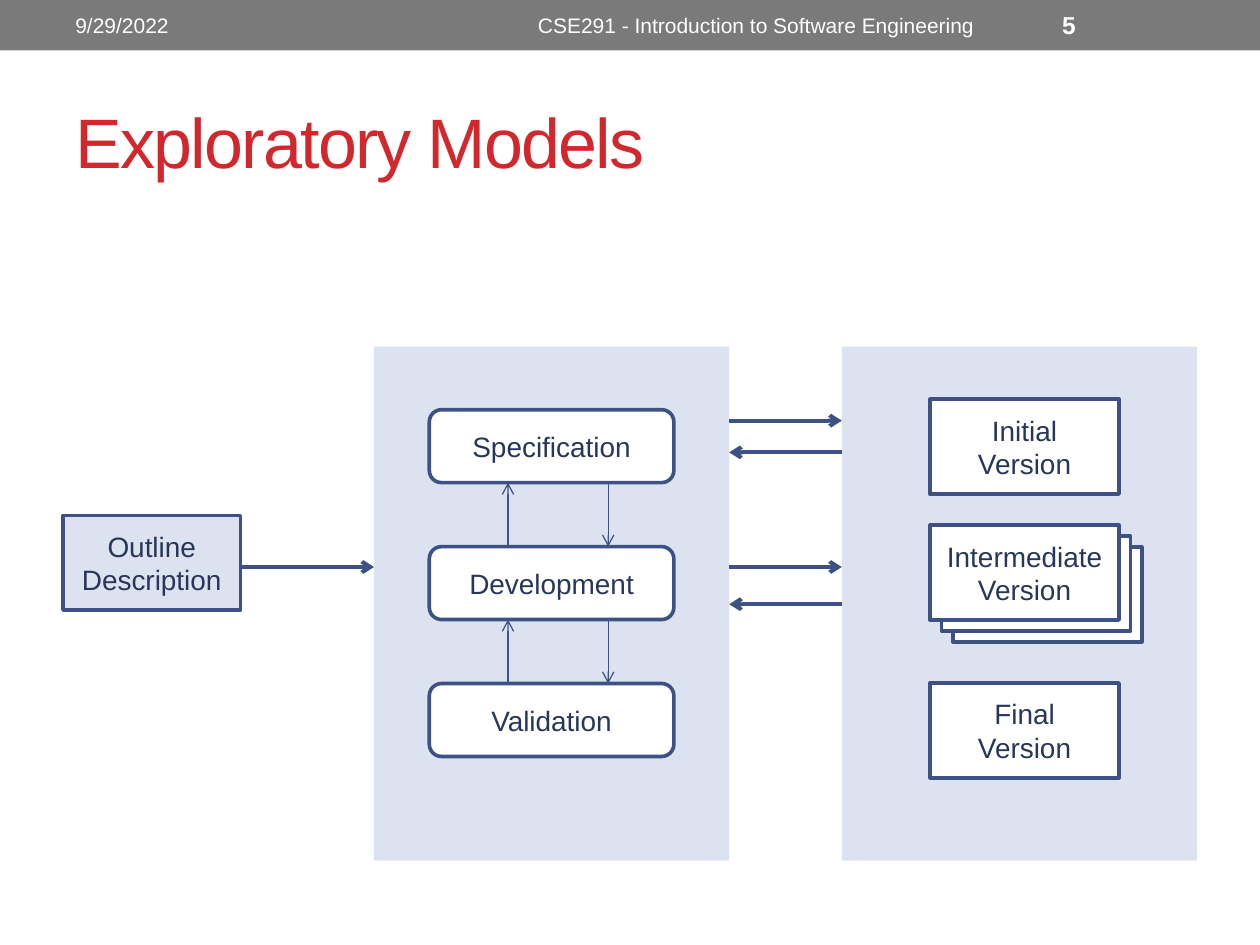
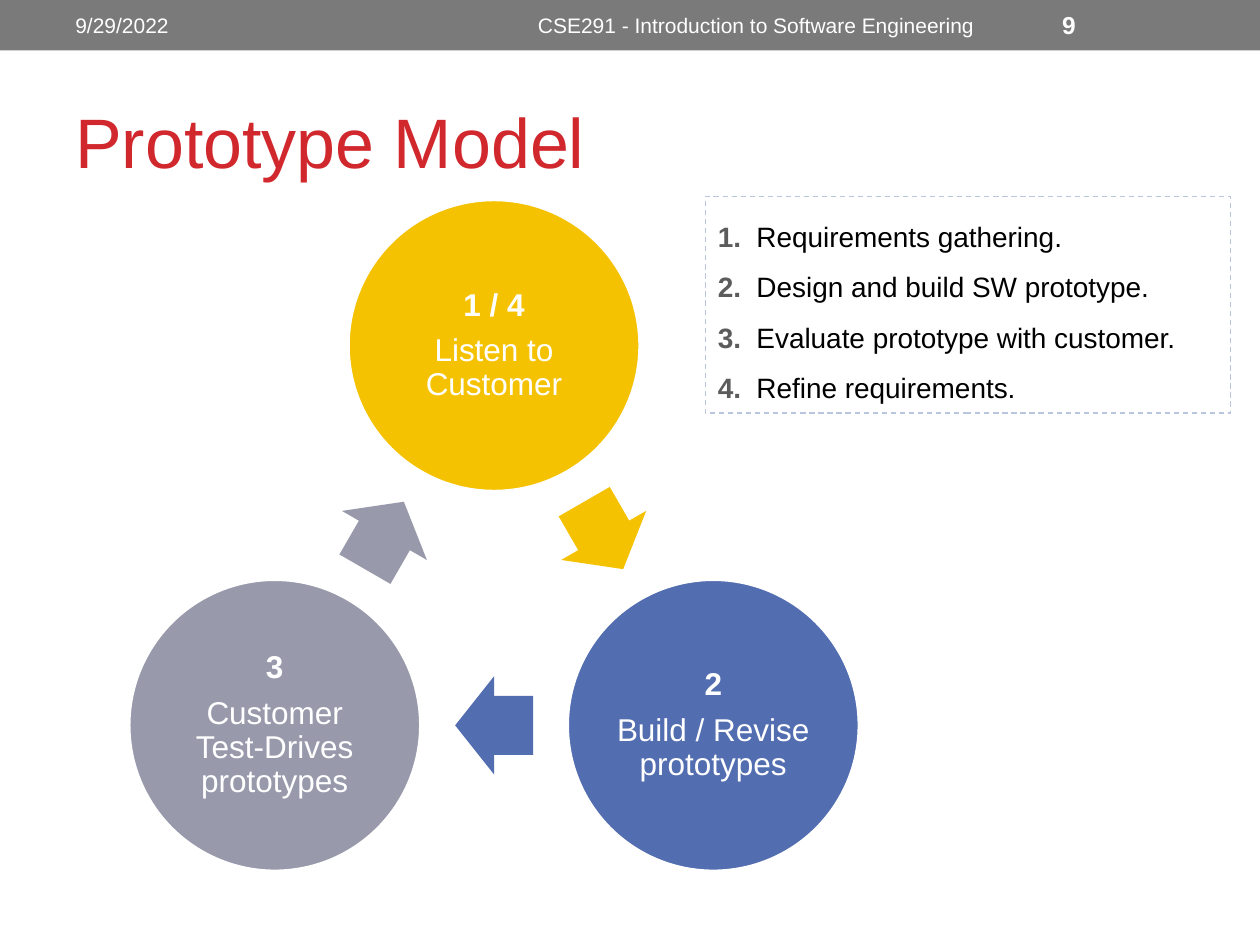
from math import cos, radians, sin, sqrt

from lxml import etree
from pptx import Presentation
from pptx.dml.color import RGBColor
from pptx.enum.dml import MSO_LINE
from pptx.enum.shapes import MSO_CONNECTOR, MSO_SHAPE
from pptx.enum.text import MSO_ANCHOR, PP_ALIGN
from pptx.oxml.ns import qn
from pptx.util import Cm, Pt

FONT = "Arial"
WHITE = RGBColor(0xFF, 0xFF, 0xFF)
BLACK = RGBColor(0, 0, 0)
BAND = RGBColor(0x7A, 0x7A, 0x7A)
RED = RGBColor(0xD1, 0x28, 0x2E)
PALE = RGBColor(0xDC, 0xE2, 0xEF)
EDGE = RGBColor(0x3D, 0x51, 0x85)
NAVY = RGBColor(0x28, 0x36, 0x59)
YELLOW = RGBColor(0xF5, 0xC2, 0x01)
BLUE = RGBColor(0x52, 0x6D, 0xB0)
GREY = RGBColor(0x98, 0x9A, 0xAC)
DASH = RGBColor(0xBA, 0xC5, 0xDF)
NUMBER = RGBColor(0x5C, 0x5C, 0x5C)

# Content; all lengths are centimetres
DATE = "9/29/2022"
COURSE = "CSE291 - Introduction to Software Engineering"

OUTLINE = "Outline Description"
STEPS = ["Specification", "Development", "Validation"]
VERSIONS = [  # text, top, sheets in the stack
    (["Initial Version"], 8.05, 1),
    (["Intermediate Version"], 10.59, 3),
    (["Final", "Version"], 13.77, 1),
]
EXCHANGES = [(8.48, True), (9.12, False), (11.43, True), (12.18, False)]  # y, rightward

CYCLE = [
    ("1 / 4", "Listen to Customer", YELLOW),
    ("2", "Build / Revise prototypes", BLUE),
    ("3", "Customer Test-Drives prototypes", GREY),
]
ACTIVITIES = [
    "Requirements gathering.",
    "Design and build SW prototype.",
    "Evaluate prototype with customer.",
    "Refine requirements.",
]


def add_run(paragraph, text, size, color, bold=False):
    """Append a formatted run and return it."""
    run = paragraph.add_run()
    run.text = text
    run.font.name, run.font.size, run.font.bold = FONT, Pt(size), bold
    run.font.color.rgb = color
    return run


def paragraphs(frame, count):
    """Return the given number of paragraphs of an empty text frame."""
    return [frame.paragraphs[0]] + [frame.add_paragraph() for _ in range(count - 1)]


def add_label(slide, box, text, size, color, bold=False, align=PP_ALIGN.LEFT):
    """Add a one-line text box, centred vertically, and return its run."""
    frame = slide.shapes.add_textbox(*map(Cm, box)).text_frame
    frame.word_wrap = True
    frame.vertical_anchor = MSO_ANCHOR.MIDDLE
    frame.paragraphs[0].alignment = align
    return add_run(frame.paragraphs[0], text, size, color, bold)


def add_box(slide, box, fill=None, line=None, width=2.08, kind=MSO_SHAPE.RECTANGLE):
    """Add a flat preset shape; no fill or line where none is given."""
    shape = slide.shapes.add_shape(kind, *map(Cm, box))
    shape.shadow.inherit = False
    if fill is None:
        shape.fill.background()
    else:
        shape.fill.solid()
        shape.fill.fore_color.rgb = fill
    if line is None:
        shape.line.fill.background()
    else:
        shape.line.color.rgb = line
        shape.line.width = Pt(width)
    return shape


def add_node(slide, box, lines, fill=WHITE, kind=MSO_SHAPE.RECTANGLE):
    """Add an outlined diagram box with centred text."""
    frame = add_box(slide, box, fill, EDGE, kind=kind).text_frame
    frame.word_wrap = True
    frame.vertical_anchor = MSO_ANCHOR.MIDDLE
    for paragraph, text in zip(paragraphs(frame, len(lines)), lines):
        paragraph.alignment = PP_ALIGN.CENTER
        add_run(paragraph, text, 16, NAVY)


def add_arrow(slide, x1, y1, x2, y2, width=2.25):
    """Add a straight line with an open arrowhead at its end."""
    line = slide.shapes.add_connector(MSO_CONNECTOR.STRAIGHT, *map(Cm, (x1, y1, x2, y2)))
    line.line.color.rgb = EDGE
    line.line.width = Pt(width)
    properties = line._element.spPr
    etree.SubElement(properties.find(qn("a:ln")), qn("a:tailEnd"), type="arrow")
    etree.SubElement(properties, qn("a:effectLst"))


def start_slide(deck, title, number, tracking=None):
    """Add a slide with the header band, its texts and the title."""
    slide = deck.slides.add_slide(deck.slide_layouts[6])
    add_box(slide, (0, 0, 25.4, 1.02), BAND)
    run = add_label(slide, (1.27, 1.47, 22.86, 2.74), title, 40, RED)
    if tracking:
        run.font._element.set("spc", str(tracking))
    add_label(slide, (1.27, 0.05, 8.05, 0.91), DATE, 12, WHITE)
    add_label(slide, (9.53, 0.05, 11.43, 0.91), COURSE, 12, WHITE, align=PP_ALIGN.CENTER)
    add_label(slide, (21.16, 0.05, 2.97, 0.91), str(number), 14, WHITE, bold=True)
    return slide


def exploratory_slide(deck):
    """Draw the outline, the development steps and the versions."""
    slide = start_slide(deck, "Exploratory Models", 5, tracking=-100)
    panel_y, panel_w, panel_h = 6.99, 7.16, 10.36
    steps_x, versions_x = 7.54, 16.97
    for x in (steps_x, versions_x):
        add_box(slide, (x, panel_y, panel_w, panel_h), PALE)

    outline_x, outline_w = 1.27, 3.58
    add_node(slide, (outline_x, 10.39, outline_w, 1.91), [OUTLINE], PALE)
    add_arrow(slide, outline_x + outline_w, 11.43, steps_x, 11.43)

    step_w, step_h, step_y, pitch = 4.93, 1.47, 8.26, 2.76
    for i, step in enumerate(STEPS):
        top = step_y + i * pitch
        box = (steps_x + (panel_w - step_w) / 2, top, step_w, step_h)
        add_node(slide, box, [step], kind=MSO_SHAPE.FLOWCHART_ALTERNATE_PROCESS)
        if i:
            above = top - pitch + step_h
            add_arrow(slide, 10.24, top, 10.24, above, 0.75)
            add_arrow(slide, 12.26, above, 12.26, top, 0.75)

    for lines, top, sheets in VERSIONS:
        for depth in reversed(range(sheets)):
            box = (18.75 + 0.23 * depth, top + 0.22 * depth, 3.81, 1.91)
            add_node(slide, box, [] if depth else lines)

    left, right = steps_x + panel_w, versions_x
    for y, rightward in EXCHANGES:
        start, end = (left, right) if rightward else (right, left)
        add_arrow(slide, start, y, end, y)


def prototype_slide(deck):
    """Draw the three-part cycle and the numbered activities."""
    slide = start_slide(deck, "Prototype Model", 9)
    center_x, center_y, side, diameter = 9.96, 12.07, 8.84, 5.89
    radius = side / sqrt(3)
    arrow_w, arrow_h = 1.57, 1.98

    def around(angle, distance, w, h):
        """Return a box centred at an angle and distance from the cycle centre."""
        x = center_x + distance * cos(radians(angle))
        y = center_y + distance * sin(radians(angle))
        return x - w / 2, y - h / 2, w, h

    for i, (number, text, color) in enumerate(CYCLE):
        turn = 120 * i
        circle = add_box(slide, around(turn - 90, radius, diameter, diameter),
                         color, WHITE, kind=MSO_SHAPE.OVAL)
        frame = circle.text_frame
        frame.word_wrap = True
        frame.vertical_anchor = MSO_ANCHOR.MIDDLE
        frame.margin_left = frame.margin_right = Cm(0.08)
        frame.margin_top = frame.margin_bottom = Cm(0.08)
        for paragraph, words in zip(paragraphs(frame, 2), (number, text)):
            paragraph.alignment = PP_ALIGN.CENTER
            paragraph.line_spacing = 0.9
            paragraph.space_after = Pt(6.3)
            add_run(paragraph, words, 18, WHITE, bold=words == number)

        arrow = add_box(slide, around(turn - 30, radius / 2, arrow_w, arrow_h),
                        color, kind=MSO_SHAPE.RIGHT_ARROW)
        arrow.adjustments[0], arrow.adjustments[1] = 0.6, 0.5
        arrow.rotation = turn + 60

    panel = add_box(slide, (14.22, 3.96, 10.59, 4.37), line=DASH, width=0.75)
    panel.line.dash_style = MSO_LINE.DASH
    frame = panel.text_frame
    frame.word_wrap = True
    frame.vertical_anchor = MSO_ANCHOR.TOP
    items = zip(paragraphs(frame, len(ACTIVITIES)), ACTIVITIES)
    for number, (paragraph, activity) in enumerate(items, 1):
        paragraph.alignment = PP_ALIGN.LEFT
        paragraph.line_spacing = 1.5
        hanging = Cm(0.78)
        paragraph._p.get_or_add_pPr().set("marL", str(hanging))
        paragraph._p.get_or_add_pPr().set("indent", str(-hanging))
        add_run(paragraph, f"{number}.\t", 16, NUMBER, bold=True)
        add_run(paragraph, activity, 16, BLACK)


prs = Presentation()
prs.slide_width, prs.slide_height = Cm(25.4), Cm(19.05)
exploratory_slide(prs)
prototype_slide(prs)
prs.save("out.pptx")
